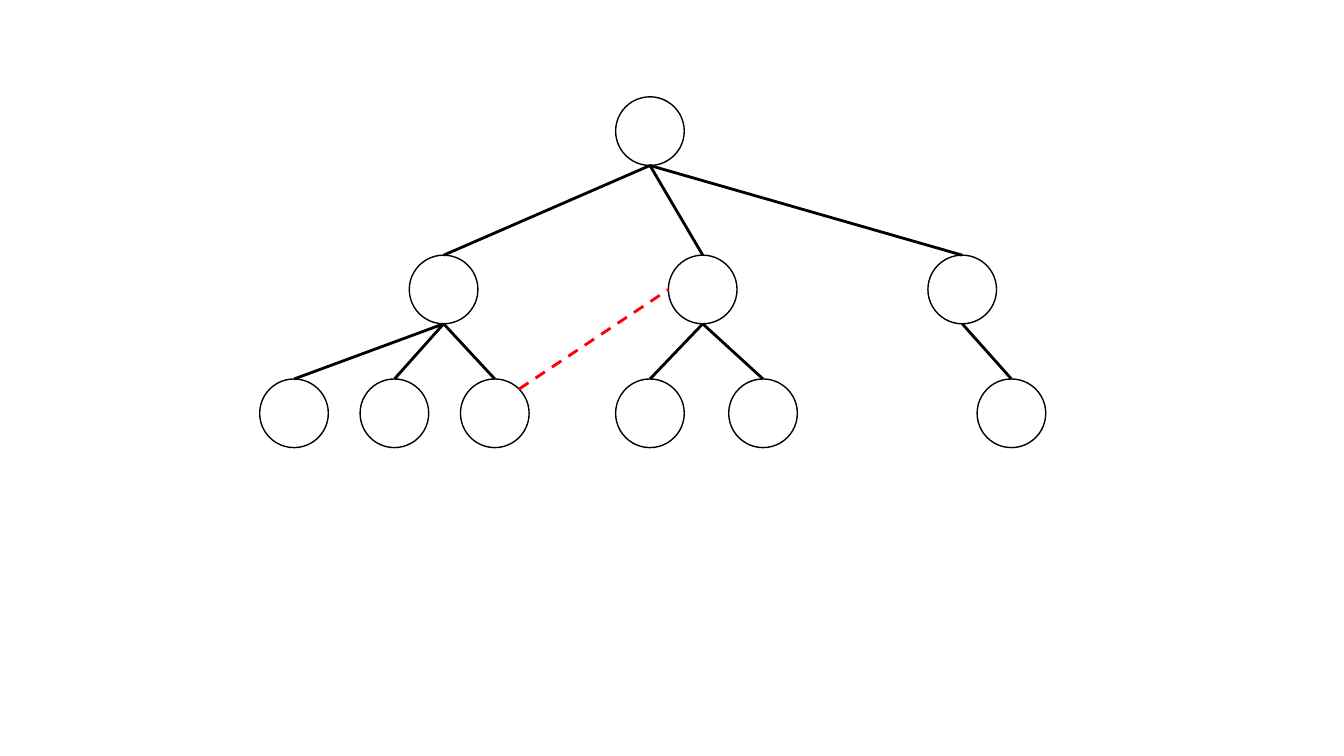
"""Draw a three-level tree with one dashed cross link."""
from dataclasses import dataclass
from math import sqrt

from pptx import Presentation
from pptx.dml.color import RGBColor
from pptx.enum.dml import MSO_LINE_DASH_STYLE as DASH
from pptx.enum.shapes import MSO_CONNECTOR as CXN, MSO_SHAPE as SHAPE
from pptx.oxml.ns import qn
from pptx.util import Cm, Pt


@dataclass(frozen=True)
class Theme:
    ink: RGBColor = RGBColor(0x00, 0x00, 0x00)
    cross: RGBColor = RGBColor(0xFF, 0x00, 0x00)
    outline: Pt = Pt(1)
    edge: Pt = Pt(2)


THEME = Theme()
DIAMETER = 1.73
RADIUS = DIAMETER / 2
LEVEL_TOPS = (2.44, 6.43, 9.55)
ROOT_X = 16.38
BRANCHES = {
    11.18: (7.41, 9.94, 12.47),
    17.71: (16.38, 19.23),
    24.25: (25.49,),
}
CROSS_LEAF_X, CROSS_BRANCH_X = 12.47, 17.71


def format_line(line, color, **values):
    line.color.rgb = color
    for name, value in values.items():
        setattr(line, name, value)


def add_node(shapes, x, level):
    sp = shapes.add_shape(SHAPE.OVAL, Cm(x - RADIUS), Cm(LEVEL_TOPS[level]),
                          Cm(DIAMETER), Cm(DIAMETER))
    sp.shadow.inherit = False
    sp.fill.background()
    format_line(sp.line, THEME.ink, width=THEME.outline)


def add_line(shapes, start, end, color=THEME.ink, **values):
    points = [Cm(v) for v in (*start, *end)]
    cxn = shapes.add_connector(CXN.STRAIGHT, *points)
    format_line(cxn.line, color, width=THEME.edge, **values)
    sp_pr = cxn._element.spPr
    sp_pr.append(sp_pr.makeelement(qn("a:effectLst"), {}))


def add_children(shapes, parent_x, level, children):
    for x in children:
        add_node(shapes, x, level)
        add_line(shapes, (parent_x, LEVEL_TOPS[level - 1] + DIAMETER),
                 (x, LEVEL_TOPS[level]))


def add_cross_link(shapes):
    offset = RADIUS / sqrt(2)
    leaf_edge = (CROSS_LEAF_X + offset, LEVEL_TOPS[2] + RADIUS - offset)
    branch_edge = (CROSS_BRANCH_X - RADIUS, LEVEL_TOPS[1] + RADIUS)
    add_line(shapes, leaf_edge, branch_edge, THEME.cross, dash_style=DASH.DASH)


def main():
    prs = Presentation()
    prs.slide_width, prs.slide_height = Cm(33.87), Cm(19.05)
    s = prs.slides.add_slide(prs.slide_layouts[6])
    tree = s.shapes.add_group_shape().shapes
    add_node(tree, ROOT_X, 0)
    add_children(tree, ROOT_X, 1, BRANCHES)
    for branch_x, leaves in BRANCHES.items():
        add_children(tree, branch_x, 2, leaves)
    add_cross_link(tree)
    prs.save("out.pptx")


if __name__ == "__main__":
    main()
